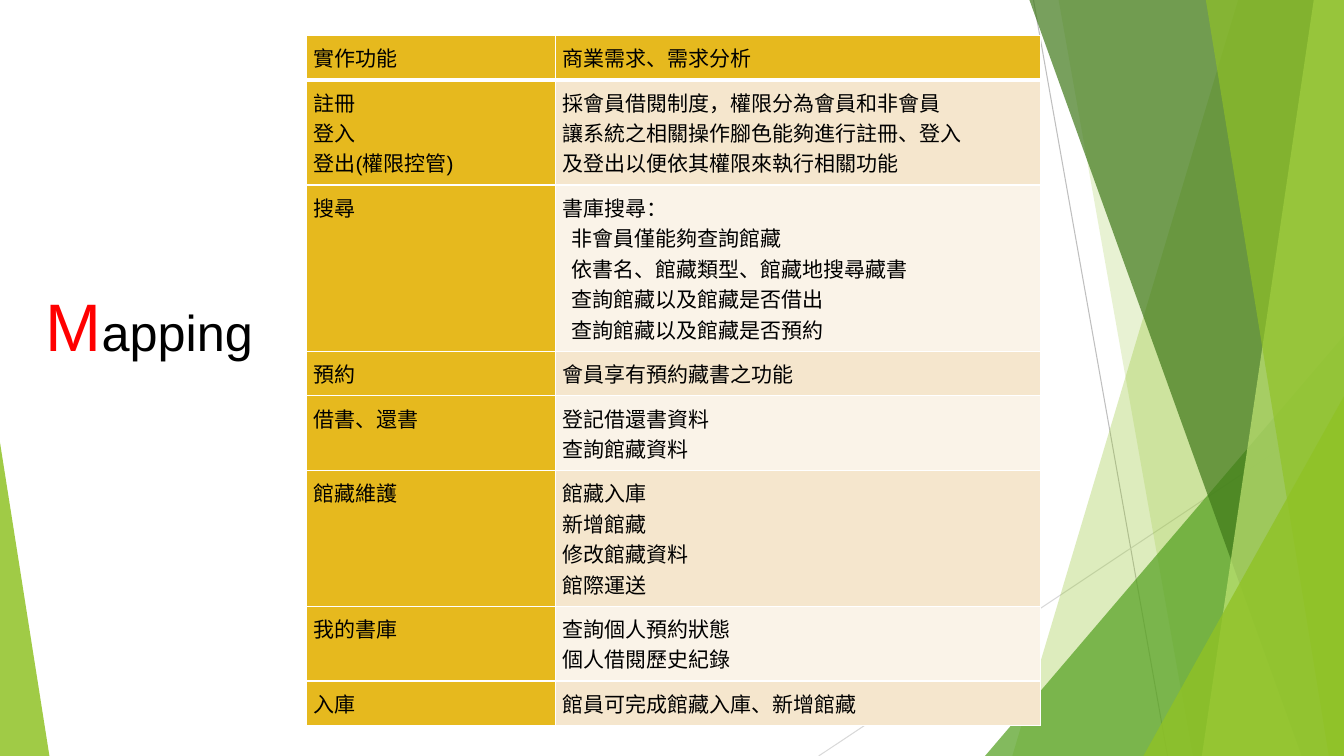
"""Build the Mapping slide: a table of functions and needs beside green facets."""
from dataclasses import dataclass

from pptx import Presentation
from pptx.dml.color import RGBColor
from pptx.enum.shapes import MSO_CONNECTOR, MSO_SHAPE
from pptx.enum.text import MSO_AUTO_SIZE, PP_ALIGN
from pptx.oxml.ns import qn
from pptx.util import Inches, Pt
from lxml import etree

STRAIGHT = MSO_CONNECTOR.STRAIGHT
TRIANGLE = MSO_SHAPE.ISOSCELES_TRIANGLE
CENTER = PP_ALIGN.CENTER
GROW = MSO_AUTO_SIZE.SHAPE_TO_FIT_TEXT
WIDE, HIGH = 13.33, 7.5


@dataclass(frozen=True)
class Theme:
    """Colours, font and type sizes."""
    font: str = "Arial"
    ink: str = "000000"
    red: str = "FF0000"
    white: str = "FFFFFF"
    gold: str = "E6B91E"
    sand: str = "F5E6CD"
    cream: str = "FAF3E8"
    lime: str = "90C226"
    leaf: str = "54A021"
    moss: str = "3F7819"
    pale: str = "C0E474"
    gray: str = "BFBFBF"
    mist: str = "D9D9D9"
    cell: int = 15
    title: int = 36
    first: int = 48


@dataclass(frozen=True)
class Ray:
    """A thin line between two points."""
    start: tuple[float, float]
    end: tuple[float, float]
    color: str


@dataclass(frozen=True)
class Band:
    """A facet from a slanted left edge to the right side of the slide."""
    top: float
    base: float
    color: str
    alpha: int


@dataclass(frozen=True)
class Wedge:
    """A right triangle that stands on the bottom of the slide."""
    left: float
    top: float
    width: float
    peak: float
    color: str
    alpha: int


@dataclass(frozen=True)
class Entry:
    """A table row; lines after the first may be indented."""
    name: list[str]
    needs: list[str]
    indent: float = 0


THEME = Theme()

RAYS = [
    Ray((10.25, 0), (11.58, HIGH), THEME.gray),
    Ray((WIDE, 4.03), (8.12, HIGH), THEME.mist),
]

FACETS = [
    Band(12.28, 10.04, THEME.lime, 30),
    Band(10.5, 11.83, THEME.lime, 20),
    Wedge(9.77, 3.33, 3.56, 1, THEME.leaf, 72),
    Band(10.21, 12.91, THEME.moss, 70),
    Band(13.03, 11.92, THEME.pale, 70),
    Band(11.96, 13.18, THEME.lime, 65),
    Wedge(11.34, 3.93, 1.99, 1, THEME.lime, 80),
    Wedge(0, 4.39, 0.49, 0, THEME.lime, 85),
]

ENTRIES = [
    Entry(["實作功能"], ["商業需求、需求分析"]),
    Entry(["註冊", "登入", "登出(權限控管)"],
          ["採會員借閱制度，權限分為會員和非會員",
           "讓系統之相關操作腳色能夠進行註冊、登入",
           "及登出以便依其權限來執行相關功能"]),
    Entry(["搜尋"],
          ["書庫搜尋：", "非會員僅能夠查詢館藏", "依書名、館藏類型、館藏地搜尋藏書",
           "查詢館藏以及館藏是否借出", "查詢館藏以及館藏是否預約"], 0.09),
    Entry(["預約"], ["會員享有預約藏書之功能"]),
    Entry(["借書、還書"], ["登記借還書資料", "查詢館藏資料"]),
    Entry(["館藏維護"], ["館藏入庫", "新增館藏", "修改館藏資料", "館際運送"]),
    Entry(["我的書庫"], ["查詢個人預約狀態", "個人借閱歷史紀錄"]),
    Entry(["入庫"], ["館員可完成館藏入庫、新增館藏"]),
]


def add_text(para, text: str, *, size: int, color: str = THEME.ink) -> None:
    """Add a formatted run to a paragraph."""
    run = para.add_run()
    run.text = text
    run.font.name = THEME.font
    run.font.size = Pt(size)
    run.font.bold = False
    run.font.color.rgb = RGBColor.from_string(color)


def draw_ray(slide, ray: Ray) -> None:
    """Draw a thin line without a shadow."""
    line = slide.shapes.add_connector(
        STRAIGHT, *(Inches(v) for v in ray.start + ray.end))
    line.line.color.rgb = RGBColor.from_string(ray.color)
    line.line.width = Pt(0.75)
    etree.SubElement(line._element.spPr, qn("a:effectLst"))


def draw_facet(slide, facet: Band | Wedge) -> None:
    """Draw a translucent facet."""
    if isinstance(facet, Band):
        pen = slide.shapes.build_freeform(Inches(facet.top), 0)
        ends = [(WIDE, 0), (WIDE, HIGH), (facet.base, HIGH)]
        pen.add_line_segments([(Inches(x), Inches(y)) for x, y in ends])
        shape = pen.convert_to_shape()
    else:
        shape = slide.shapes.add_shape(
            TRIANGLE, Inches(facet.left), Inches(facet.top),
            Inches(facet.width), Inches(HIGH - facet.top))
        shape.adjustments[0] = facet.peak
    shape.shadow.inherit = False
    shape.line.fill.background()
    shape.fill.solid()
    shape.fill.fore_color.rgb = RGBColor.from_string(facet.color)
    tint = shape._element.spPr.find(qn("a:solidFill"))[0]
    etree.SubElement(tint, qn("a:alpha"), val=str(facet.alpha * 1000))


def set_edges(cell, base: float) -> None:
    """Give a cell white borders, with its own width at the bottom."""
    props = cell._tc.get_or_add_tcPr()
    for spot, (side, width) in enumerate(
            [("lnL", 1), ("lnR", 1), ("lnT", 1), ("lnB", base)]):
        edge = etree.Element(qn(f"a:{side}"), w=str(Pt(width)))
        fill = etree.SubElement(edge, qn("a:solidFill"))
        etree.SubElement(fill, qn("a:srgbClr"), val=THEME.white)
        props.insert(spot, edge)


def fill_cell(cell, lines: list[str], color: str, indent: float, base: float) -> None:
    """Fill a cell with colour, borders and one paragraph a line."""
    cell.fill.solid()
    cell.fill.fore_color.rgb = RGBColor.from_string(color)
    cell.margin_left = cell.margin_right = Inches(0.07)
    cell.margin_top = cell.margin_bottom = Inches(0.07)
    set_edges(cell, base)
    frame = cell.text_frame
    for spot, line in enumerate(lines):
        para = frame.add_paragraph() if spot else frame.paragraphs[0]
        if spot and indent:
            para._p.get_or_add_pPr().set("marL", str(Inches(indent)))
        add_text(para, line, size=THEME.cell)


def draw_table(slide, entries: list[Entry]) -> None:
    """Draw the table with row heights set by the number of lines."""
    highs = [0.15 + 0.27 * max(len(e.name), len(e.needs)) for e in entries]
    table = slide.shapes.add_table(
        len(entries), 2, Inches(3.04), Inches(0.35),
        Inches(7.28), Inches(sum(highs))).table
    table.first_row = table.horz_banding = False
    for col, width in zip(table.columns, (2.47, 4.81)):
        col.width = Inches(width)
    for spot, (entry, high) in enumerate(zip(entries, highs)):
        table.rows[spot].height = Inches(high)
        tint = THEME.sand if spot % 2 else THEME.cream
        base = 1 if spot else 3
        fill_cell(table.cell(spot, 0), entry.name, THEME.gold, 0, base)
        fill_cell(table.cell(spot, 1), entry.needs,
                  tint if spot else THEME.gold, entry.indent, base)


def draw_title(slide) -> None:
    """Draw the title with a large red initial."""
    frame = slide.shapes.add_textbox(
        Inches(0.14), Inches(2.77), Inches(2.68), Inches(0.91)).text_frame
    frame.word_wrap = True
    frame.auto_size = GROW
    para = frame.paragraphs[0]
    para.alignment = CENTER
    add_text(para, "M", size=THEME.first, color=THEME.red)
    add_text(para, "apping", size=THEME.title)


def main() -> None:
    """Build and save the slide."""
    deck = Presentation()
    deck.slide_width, deck.slide_height = Inches(WIDE), Inches(HIGH)
    slide = deck.slides.add_slide(deck.slide_layouts[6])
    for ray in RAYS:
        draw_ray(slide, ray)
    for facet in FACETS:
        draw_facet(slide, facet)
    draw_table(slide, ENTRIES)
    draw_title(slide)
    deck.save("out.pptx")


if __name__ == "__main__":
    main()
